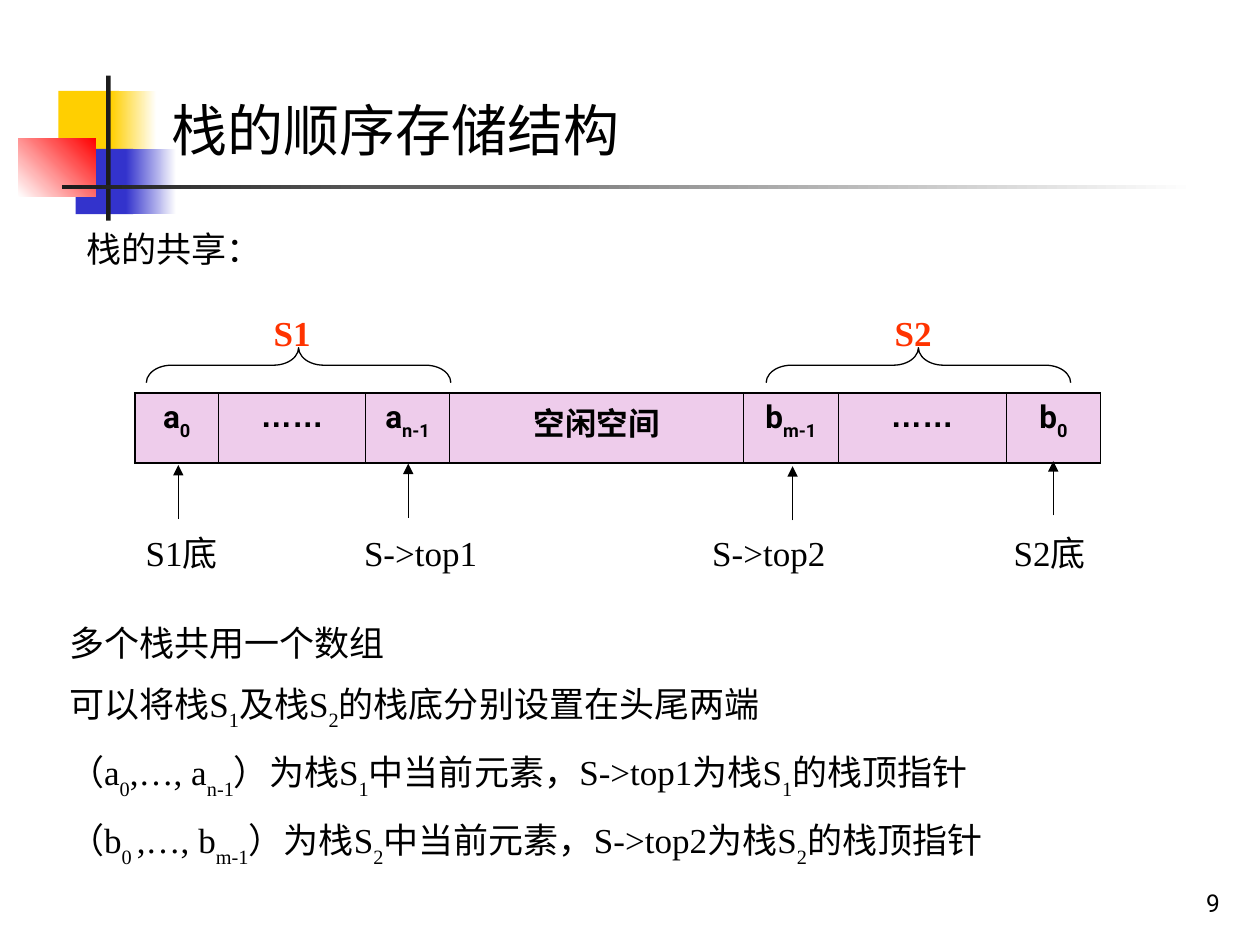
from lxml.etree import SubElement
from pptx import Presentation
from pptx.dml.color import RGBColor
from pptx.enum.shapes import MSO_CONNECTOR, MSO_SHAPE
from pptx.enum.text import MSO_ANCHOR, PP_ALIGN
from pptx.oxml.ns import qn
from pptx.util import Pt

BLACK, WHITE, ORANGE, PINK = "000000", "FFFFFF", "FF3300", "EECCEB"
YELLOW, BLUE, RED, DARK = "FFCF01", "3333CC", "FF0000", "1C1C1C"
SERIF, SANS, HAN, TITLE_HAN = "Times New Roman", "Roboto", "Noto Sans CJK SC", "Noto Sans CJK JP"


def rgb(value):
    return RGBColor.from_string(value)


def apply(target, values):
    for name, value in values.items():
        setattr(target, name, value)


class StackSlide:
    inset = 7.2
    line_width = 0.75

    def __init__(self, presentation):
        self.shapes = presentation.slides.add_slide(presentation.slide_layouts[6]).shapes

    def add_runs(self, paragraph, text, size, font=SERIF, han=HAN, color=BLACK, bold=False):
        """Add text in which every second part between bars is a subscript."""
        for index, part in enumerate(text.split("|")):
            if not part:
                continue
            run = paragraph.add_run()
            run.text = part
            apply(run.font, {"size": Pt(size), "name": font, "bold": bold})
            run.font.color.rgb = rgb(color)
            properties = run._r.get_or_add_rPr()
            SubElement(properties, qn("a:ea"), typeface=han)
            if index % 2:
                properties.set("baseline", "-30000")

    def text(self, box, lines, size=20, anchor=MSO_ANCHOR.TOP, layout=None, gap=0, **style):
        frame = self.shapes.add_textbox(*map(Pt, box)).text_frame
        apply(frame, {"word_wrap": True, "vertical_anchor": anchor})
        for index, line in enumerate(lines):
            paragraph = frame.paragraphs[0] if index == 0 else frame.add_paragraph()
            apply(paragraph, layout or {})
            if index:
                paragraph.space_before = Pt(gap)
            self.add_runs(paragraph, line, size, **style)
        return frame

    def label_row(self, box, labels, **style):
        """Centre each label of one line on its x position."""
        line = "".join("\t" + label for label in labels)
        paragraph = self.text(box, [line], **style).paragraphs[0]
        stops = SubElement(paragraph._p.get_or_add_pPr(), qn("a:tabLst"))
        for center in labels.values():
            position = Pt(center - box[0] - self.inset)
            SubElement(stops, qn("a:tab"), pos=str(position), algn="ctr")

    def block(self, box, color, end=None, angle=0):
        shape = self.shapes.add_shape(MSO_SHAPE.RECTANGLE, *map(Pt, box))
        shape.shadow.inherit = False
        shape.line.fill.background()
        if end is None:
            shape.fill.solid()
            shape.fill.fore_color.rgb = rgb(color)
            return
        shape.fill.gradient()
        shape.fill.gradient_angle = angle
        for stop, stop_color in zip(shape.fill.gradient_stops, (color, end)):
            stop.color.rgb = rgb(stop_color)

    def brace(self, box):
        shape = self.shapes.add_shape(MSO_SHAPE.LEFT_BRACE, *map(Pt, box))
        shape.shadow.inherit = False
        shape.rotation = 90
        shape.adjustments[0] = 0.72
        shape.fill.background()
        shape.line.color.rgb = rgb(BLACK)
        shape.line.width = Pt(self.line_width)

    def line(self, start, end, arrow=True):
        connector = self.shapes.add_connector(MSO_CONNECTOR.STRAIGHT, *map(Pt, (*start, *end)))
        connector.line.color.rgb = rgb(BLACK)
        connector.line.width = Pt(self.line_width)
        if arrow:
            SubElement(connector._element.spPr.get_or_add_ln(), qn("a:tailEnd"), type="triangle")
        SubElement(connector._element.spPr, qn("a:effectLst"))

    def border(self, cell, side, width):
        edge = SubElement(cell._tc.get_or_add_tcPr(), qn(f"a:{side}"), w=str(Pt(width)))
        SubElement(SubElement(edge, qn("a:solidFill")), qn("a:srgbClr"), val=BLACK)

    def array(self, left, top, height, columns):
        """Draw a one-row table from (text, width, font) columns."""
        width = sum(column[1] for column in columns)
        table = self.shapes.add_table(1, len(columns), *map(Pt, (left, top, width, height))).table
        apply(table, {"first_row": False, "horz_banding": False})
        table.rows[0].height = Pt(height)
        last = len(columns) - 1
        for index, (label, column_width, font) in enumerate(columns):
            table.columns[index].width = Pt(column_width)
            cell = table.cell(0, index)
            apply(cell, {"margin_left": Pt(3), "margin_right": Pt(3)})
            sides = {"lnL": index == 0, "lnR": index == last, "lnT": True, "lnB": True}
            for side, outer in sides.items():
                self.border(cell, side, 1.08 if outer else 0.45)
            cell.fill.solid()
            cell.fill.fore_color.rgb = rgb(PINK)
            paragraph = cell.text_frame.paragraphs[0]
            paragraph.alignment = PP_ALIGN.CENTER
            self.add_runs(paragraph, label, 18, font=font, bold=True)


def main():
    presentation = Presentation()
    apply(presentation, {"slide_width": Pt(720), "slide_height": Pt(540)})
    slide = StackSlide(presentation)

    slide.block((33.4, 52, 34.6, 37.4), YELLOW)
    slide.block((63.4, 52, 26, 37.4), YELLOW, WHITE)
    slide.block((43.2, 85, 33, 37.4), BLUE)
    slide.block((72, 85, 28.8, 37.4), BLUE, WHITE)
    slide.block((10.5, 79, 44.3, 33.4), WHITE, RED, angle=45)
    slide.block((60.6, 43.2, 2.6, 83), DARK)
    slide.block((35.5, 105.7, 648, 2.3), DARK, WHITE)

    slide.text((42.5, 126.5, 533, 34), ["栈的共享："], font=HAN)
    slide.text((90.7, 51, 629, 54), ["栈的顺序存储结构"], size=32, font=TITLE_HAN, han=TITLE_HAN)
    slide.line((426.2, 153.4), (426.2, 153.4), arrow=False)

    slide.array(77, 224.6, 40, [
        ("a|0", 48, SANS),
        ("……", 84, "Arial"),
        ("a|n-1", 48, SANS),
        ("空闲空间", 168, SANS),
        ("b|m-1", 54, SANS),
        ("……", 96, "Arial"),
        ("b|0", 54, SANS),
    ])
    for brace_left in (160.6, 514.8):
        slide.brace((brace_left, 121.7, 20, 174))
    slide.label_row((139, 174.5, 426, 36), {"S1": 167, "S2": 522}, color=ORANGE, bold=True)
    slide.label_row((74, 300, 606, 36),
                    {"S1底": 104, "S->top1": 240.5, "S->top2": 439.5, "S2底": 600})
    for x, tip in ((101.9, 265.7), (233.3, 265), (452.9, 266.4), (601.9, 263.5)):
        slide.line((x, tip + 31), (x, tip))

    slide.text((32.4, 347, 671, 163.4), [
        "多个栈共用一个数组",
        "可以将栈S|1|及栈S|2|的栈底分别设置在头尾两端",
        "（a|0|,…, a|n-1|）为栈S|1|中当前元素，S->top1为栈S|1|的栈顶指针",
        "（b|0 |,…, b|m-1|）为栈S|2|中当前元素，S->top2为栈S|2|的栈顶指针",
    ], layout={"alignment": PP_ALIGN.JUSTIFY, "line_spacing": 1.2}, gap=5)
    slide.text((554.4, 491.8, 149.8, 36), ["9"], size=14, font=SANS,
               anchor=MSO_ANCHOR.BOTTOM, layout={"alignment": PP_ALIGN.RIGHT})
    presentation.save("out.pptx")


if __name__ == "__main__":
    main()
